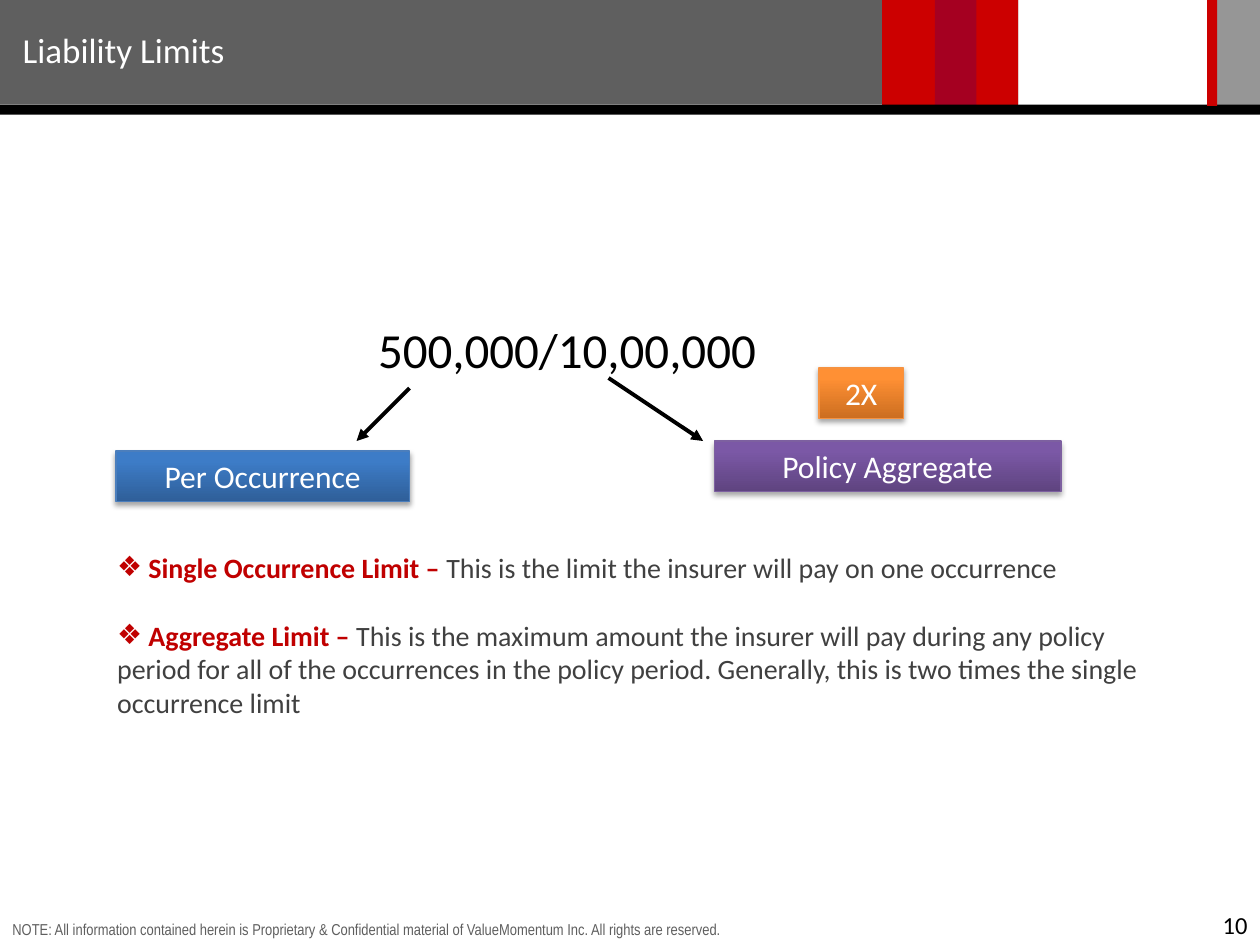
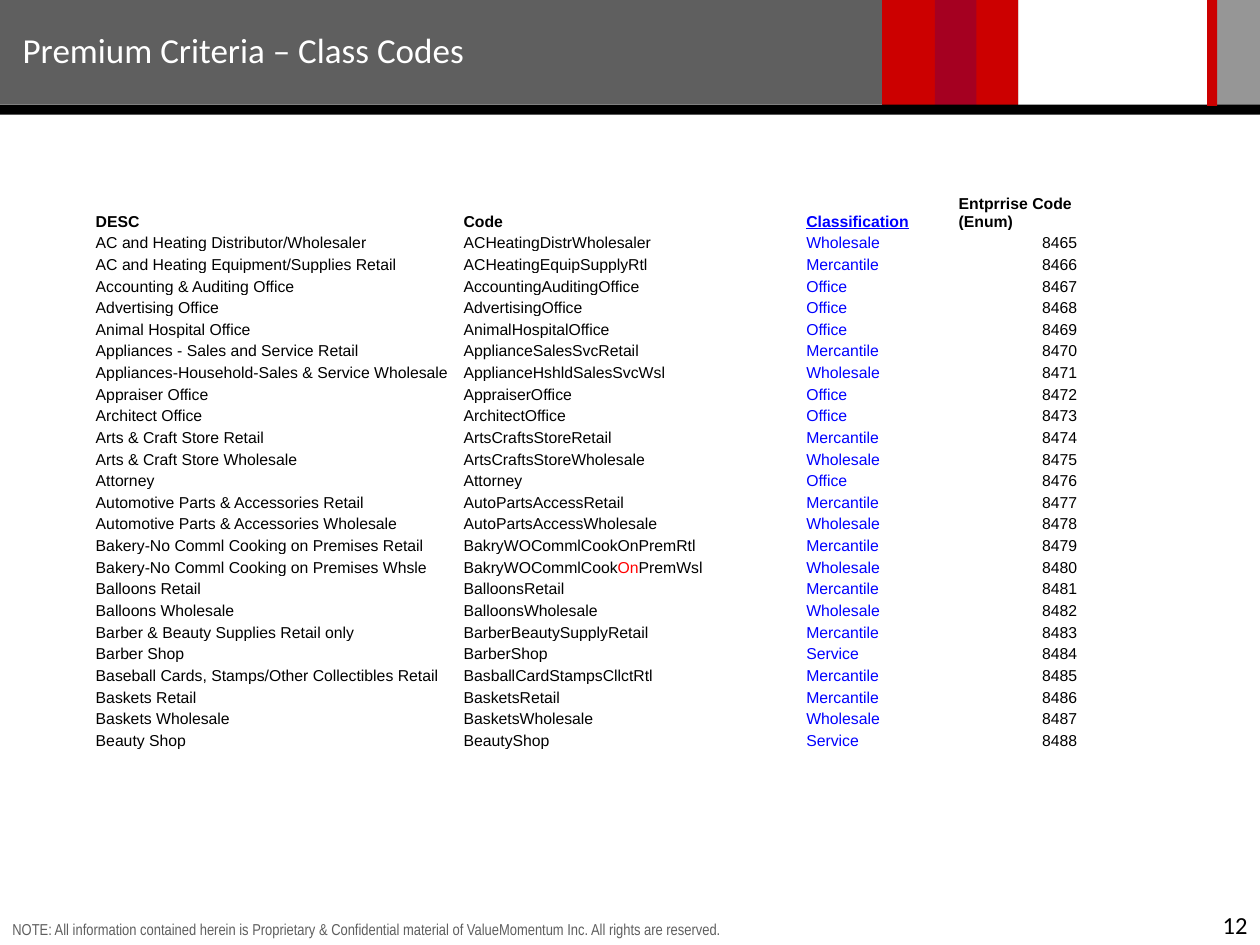
from dataclasses import dataclass

from lxml import etree
from pptx import Presentation
from pptx.dml.color import RGBColor
from pptx.enum.shapes import MSO_CONNECTOR, MSO_SHAPE
from pptx.enum.text import MSO_ANCHOR, MSO_AUTO_SIZE, PP_ALIGN
from pptx.oxml.ns import qn
from pptx.util import Inches, Pt


@dataclass(frozen=True)
class Theme:
    black: str = "000000"
    white: str = "FFFFFF"
    dark_gray: str = "5F5F5F"
    gray: str = "969696"
    red: str = "CC0000"
    maroon: str = "A50021"
    term: str = "C00000"
    body: str = "404040"
    classification: str = "0000FF"
    highlight: str = "FF0000"
    # Gradient bottom, gradient top, outline
    blue_box: tuple = ("2F5F99", "3D7CC7", "4B7EBC")
    purple_box: tuple = ("5F4480", "7B58A6", "7D60A0")
    orange_box: tuple = ("CC6E20", "FF9034", "F69240")
    font: str = "Calibri"
    table_font: str = "Arial"
    note_font: str = "Arial Narrow"
    title_size: float = 20
    amount_size: float = 28
    box_size: float = 18
    list_size: float = 16
    number_size: float = 14
    small_size: float = 9


THEME = Theme()

NOTE = ("NOTE: All information contained herein is Proprietary & Confidential "
        "material of ValueMomentum Inc. All rights are reserved.")

# left, top, width, height, colour
BANDS = [
    (0, 0, 8.08, 0.83, THEME.dark_gray),
    (7, 0, 1.08, 0.84, THEME.red),
    (9.58, 0, 0.42, 0.84, THEME.gray),
    (7.42, 0, 0.33, 0.84, THEME.maroon),
    (0, 0.83, 10, 0.08, THEME.black),
    (9.58, 0, 0.08, 0.84, THEME.red),
]

LIMITS = [
    (" Single Occurrence Limit – ",
     "This is the limit the insurer will pay on one occurrence"),
    (" Aggregate Limit – ",
     "This is the maximum amount the insurer will pay during any policy period "
     "for all of the occurrences in the policy period. Generally, this is two "
     "times the single occurrence limit"),
]

HEADINGS = ("DESC", "Code", "Classification", "Entprrise Code (Enum)")
COLUMN_WIDTHS = (2.92, 2.72, 1.21, 0.96)
FIRST_ENUM = 8465
# Text between bars is highlighted
CLASS_CODES = [
    ("AC and Heating Distributor/Wholesaler", "ACHeatingDistrWholesaler", "Wholesale"),
    ("AC and Heating Equipment/Supplies Retail", "ACHeatingEquipSupplyRtl", "Mercantile"),
    ("Accounting & Auditing Office", "AccountingAuditingOffice", "Office"),
    ("Advertising Office", "AdvertisingOffice", "Office"),
    ("Animal Hospital Office", "AnimalHospitalOffice", "Office"),
    ("Appliances - Sales and Service Retail", "ApplianceSalesSvcRetail", "Mercantile"),
    ("Appliances-Household-Sales & Service Wholesale", "ApplianceHshldSalesSvcWsl", "Wholesale"),
    ("Appraiser Office", "AppraiserOffice", "Office"),
    ("Architect Office", "ArchitectOffice", "Office"),
    ("Arts & Craft Store Retail", "ArtsCraftsStoreRetail", "Mercantile"),
    ("Arts & Craft Store Wholesale", "ArtsCraftsStoreWholesale", "Wholesale"),
    ("Attorney", "Attorney", "Office"),
    ("Automotive Parts & Accessories Retail", "AutoPartsAccessRetail", "Mercantile"),
    ("Automotive Parts & Accessories Wholesale", "AutoPartsAccessWholesale", "Wholesale"),
    ("Bakery-No Comml Cooking on Premises Retail", "BakryWOCommlCookOnPremRtl", "Mercantile"),
    ("Bakery-No Comml Cooking on Premises Whsle", "BakryWOCommlCook|On|PremWsl", "Wholesale"),
    ("Balloons Retail", "BalloonsRetail", "Mercantile"),
    ("Balloons Wholesale", "BalloonsWholesale", "Wholesale"),
    ("Barber & Beauty Supplies Retail only", "BarberBeautySupplyRetail", "Mercantile"),
    ("Barber Shop", "BarberShop", "Service"),
    ("Baseball Cards, Stamps/Other Collectibles Retail", "BasballCardStampsCllctRtl", "Mercantile"),
    ("Baskets Retail", "BasketsRetail", "Mercantile"),
    ("Baskets Wholesale", "BasketsWholesale", "Wholesale"),
    ("Beauty Shop", "BeautyShop", "Service"),
]


def rgb(color):
    return RGBColor.from_string(color)


def inches(*lengths):
    return [Inches(length) for length in lengths]


def style_run(run, size, color, font=THEME.font, bold=False):
    run.font.name = font
    run.font.size = Pt(size)
    run.font.bold = bold
    run.font.color.rgb = rgb(color)


def add_text(slide, place, text, size, color, font=THEME.font, align=PP_ALIGN.LEFT):
    box = slide.shapes.add_textbox(*inches(*place))
    box.text_frame.word_wrap = True
    box.text_frame.text = text
    paragraph = box.text_frame.paragraphs[0]
    paragraph.alignment = align
    style_run(paragraph.runs[0], size, color, font)
    return box


def add_band(slide, left, top, width, height, color):
    band = slide.shapes.add_shape(MSO_SHAPE.RECTANGLE, *inches(left, top, width, height))
    band.shadow.inherit = False
    band.fill.solid()
    band.fill.fore_color.rgb = rgb(color)
    band.line.fill.background()
    return band


def dress_master(slide, master):
    """Draw the bands and the note on a slide, then move them to the master."""
    furniture = [add_band(slide, *band) for band in BANDS]
    furniture.append(add_text(slide, (0, 7.25, 9.92, 0.25), NOTE, THEME.small_size,
                              THEME.dark_gray, THEME.note_font))
    for shape_id, part in enumerate(furniture, start=20):
        part.element.xpath(".//p:cNvPr")[0].set("id", str(shape_id))
        master.shapes.element.append(part.element)


def place_placeholder(placeholder, place, anchor):
    placeholder.left, placeholder.top, placeholder.width, placeholder.height = inches(*place)
    frame = placeholder.text_frame
    frame.word_wrap = True
    frame.auto_size = MSO_AUTO_SIZE.NONE
    frame.vertical_anchor = anchor
    return frame


def set_title_and_number(slide, title, number):
    frame = place_placeholder(slide.shapes.title, (0.08, 0.17, 6.42, 0.44), MSO_ANCHOR.MIDDLE)
    frame.text = title
    frame.paragraphs[0].alignment = PP_ALIGN.LEFT
    style_run(frame.paragraphs[0].runs[0], THEME.title_size, THEME.white)
    add_text(slide, (7.58, 7.17, 2.42, 0.25), str(number), THEME.number_size,
             THEME.black, align=PP_ALIGN.RIGHT)


def add_glossy_box(slide, place, text, colors):
    bottom, top, outline = colors
    box = slide.shapes.add_shape(MSO_SHAPE.RECTANGLE, *inches(*place))
    box.fill.gradient()
    box.fill.gradient_angle = 90
    for stop, color, position in zip(box.fill.gradient_stops, (bottom, top), (0, 0.8)):
        stop.color.rgb = rgb(color)
        stop.position = position
    box.line.color.rgb = rgb(outline)
    box.line.width = Pt(0.75)
    add_drop_shadow(box)
    frame = box.text_frame
    frame.text = text
    frame.vertical_anchor = MSO_ANCHOR.MIDDLE
    frame.paragraphs[0].alignment = PP_ALIGN.CENTER
    style_run(frame.paragraphs[0].runs[0], THEME.box_size, THEME.white)


def add_drop_shadow(shape):
    shape.shadow.inherit = False
    effects = shape.element.spPr.find(qn("a:effectLst"))
    shadow = etree.SubElement(effects, qn("a:outerShdw"), blurRad=str(Pt(3.1)),
                              dist=str(Pt(1.8)), dir="5400000", rotWithShape="0")
    color = etree.SubElement(shadow, qn("a:srgbClr"), val=THEME.black)
    etree.SubElement(color, qn("a:alpha"), val="35000")


def add_arrow(slide, start, end):
    arrow = slide.shapes.add_connector(MSO_CONNECTOR.STRAIGHT, *inches(*start, *end))
    arrow.line.color.rgb = rgb(THEME.black)
    arrow.line.width = Pt(2.25)
    etree.SubElement(arrow.line._get_or_add_ln(), qn("a:tailEnd"), type="triangle")
    etree.SubElement(arrow.element.spPr, qn("a:effectLst"))


def add_diamond_bullet(paragraph):
    properties = paragraph._p.get_or_add_pPr()
    properties.set("marL", "0")
    properties.set("indent", "0")
    color = etree.SubElement(properties, qn("a:buClr"))
    etree.SubElement(color, qn("a:srgbClr"), val=THEME.term)
    etree.SubElement(properties, qn("a:buFont"), typeface=THEME.font)
    etree.SubElement(properties, qn("a:buChar"), char="❖")


def fill_definitions(placeholder, place, definitions):
    frame = place_placeholder(placeholder, place, MSO_ANCHOR.TOP)
    for index, (term, meaning) in enumerate(definitions):
        paragraph = frame.add_paragraph() if index else frame.paragraphs[0]
        add_diamond_bullet(paragraph)
        paragraph.space_before = Pt(19.5 if index else 0)
        for text, color, bold in ((term, THEME.term, True), (meaning, THEME.body, False)):
            run = paragraph.add_run()
            run.text = text
            style_run(run, THEME.list_size, color, bold=bold)


def fill_cell(cell, text, color, bold=False, underline=False, align=PP_ALIGN.LEFT):
    cell.fill.background()
    cell.vertical_anchor = MSO_ANCHOR.BOTTOM
    cell.margin_left = cell.margin_right = cell.margin_top = Inches(0.01)
    cell.margin_bottom = 0
    paragraph = cell.text_frame.paragraphs[0]
    paragraph.alignment = align
    for index, piece in enumerate(text.split("|")):
        run = paragraph.add_run()
        run.text = piece
        style_run(run, THEME.small_size, THEME.highlight if index % 2 else color,
                  THEME.table_font, bold)
        run.font.underline = underline


def add_class_table(slide, left, top, height, header_height):
    row_count = len(CLASS_CODES) + 1
    table = slide.shapes.add_table(row_count, len(HEADINGS), *inches(
        left, top, sum(COLUMN_WIDTHS), height)).table
    table.first_row = table.horz_banding = False
    for column, width in zip(table.columns, COLUMN_WIDTHS):
        column.width = Inches(width)
    for row in table.rows:
        row.height = Inches((height - header_height) / len(CLASS_CODES))
    table.rows[0].height = Inches(header_height)

    colors = (THEME.black, THEME.black, THEME.classification, THEME.black)
    for column, (heading, color) in enumerate(zip(HEADINGS, colors)):
        fill_cell(table.cell(0, column), heading, color, bold=True,
                  underline=heading == "Classification")
    for index, class_code in enumerate(CLASS_CODES):
        values = (*class_code, str(FIRST_ENUM + index))
        for column, (value, color) in enumerate(zip(values, colors)):
            align = PP_ALIGN.RIGHT if column == 3 else PP_ALIGN.LEFT
            fill_cell(table.cell(index + 1, column), value, color, align=align)


def build_liability_limits(slide):
    set_title_and_number(slide, "Liability Limits", 10)
    amounts = add_text(slide, (1.75, 2.58, 5.5, 0.5), "500,000/10,00,000",
                       THEME.amount_size, THEME.black, align=PP_ALIGN.CENTER)
    amounts.text_frame.paragraphs[0].line_spacing = 0.8
    add_arrow(slide, (3.25, 3.08), (2.83, 3.5))
    add_arrow(slide, (4.83, 3), (5.58, 3.5))
    add_glossy_box(slide, (0.92, 3.58, 2.33, 0.4), "Per Occurrence", THEME.blue_box)
    add_glossy_box(slide, (5.67, 3.5, 2.75, 0.4), "Policy Aggregate", THEME.purple_box)
    add_glossy_box(slide, (6.5, 2.92, 0.67, 0.4), "2X", THEME.orange_box)
    fill_definitions(slide.placeholders[1], (0.83, 4.32, 8.42, 1.45), LIMITS)


def build_class_codes(slide):
    set_title_and_number(slide, "Premium Criteria – Class Codes", 12)
    add_class_table(slide, left=0.75, top=1.5, height=4.45, header_height=0.33)


def main():
    deck = Presentation()
    deck.slide_width, deck.slide_height = inches(10, 7.5)
    limits = deck.slides.add_slide(deck.slide_layouts.get_by_name("Title and Content"))
    dress_master(limits, deck.slide_master)
    build_liability_limits(limits)
    build_class_codes(deck.slides.add_slide(deck.slide_layouts.get_by_name("Title Only")))
    deck.save("out.pptx")


if __name__ == "__main__":
    main()
